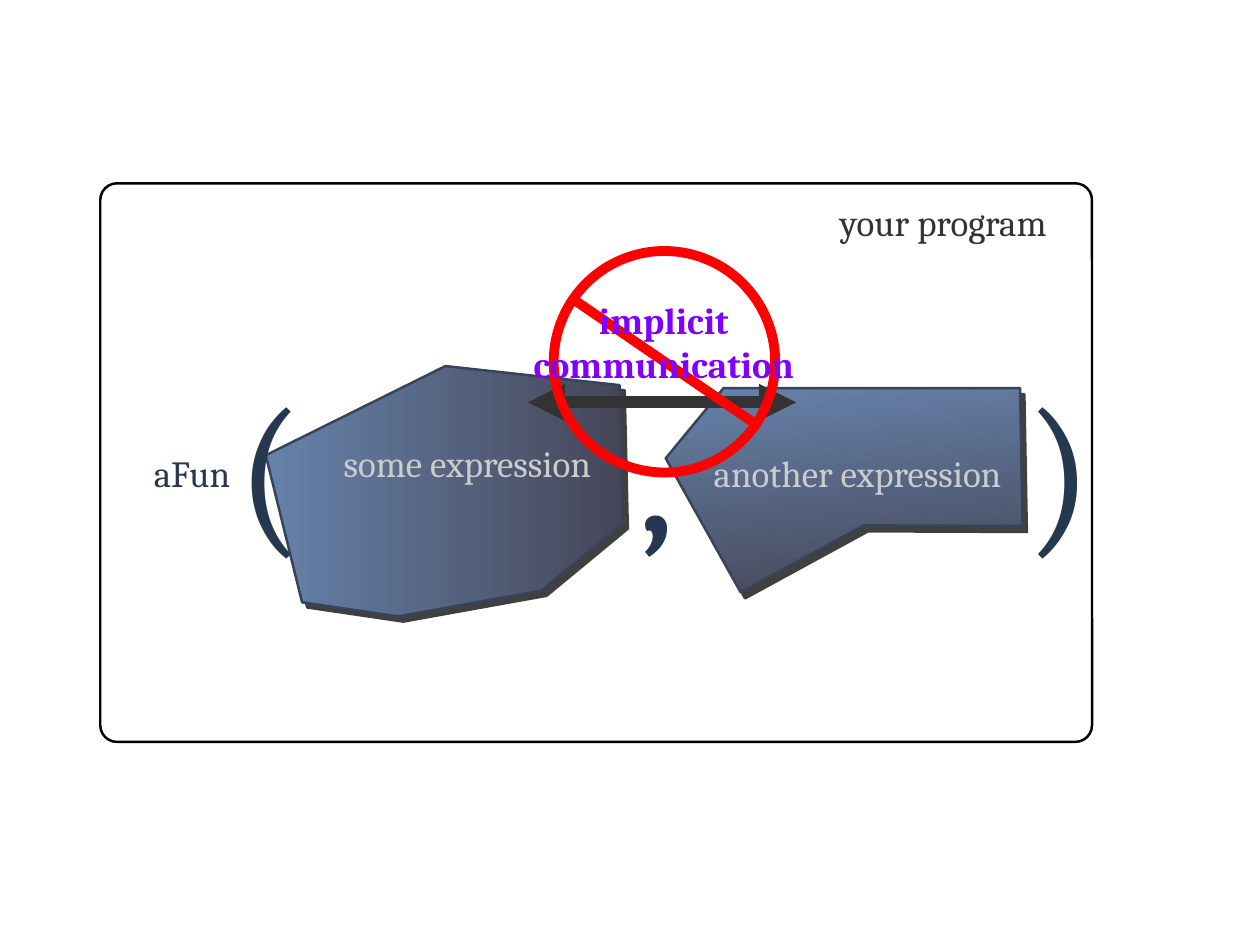
import lxml.etree
import pptx
import pptx.dml.color
import pptx.enum.shapes
import pptx.enum.text
import pptx.oxml.ns
import pptx.util
from dataclasses import dataclass

Pt = pptx.util.Pt
qn = pptx.oxml.ns.qn


@dataclass(frozen=True)
class Theme:
    """Colours, font and type sizes."""
    font: str = "Cambria"
    text_size: int = 30
    symbol_size: int = 144
    code: str = "263750"
    label: str = "CCCCCC"
    dark: str = "333333"
    frame: str = "000000"
    edge: str = "374358"
    emphasis: str = "8000FF"
    stop: str = "FF0000"
    gradient: tuple = ("464658", "6682AA")


def rgb(color):
    return pptx.dml.color.RGBColor.from_string(color)


def set_attrs(obj, values):
    for name, value in values.items():
        setattr(obj, name, value)


class Canvas:
    """Draws on one slide; all lengths are in points."""

    def __init__(self, slide, theme):
        self.s, self.theme = slide, theme

    def stroke(self, sp, color, width):
        sp.line.color.rgb = rgb(color)
        sp.line.width = Pt(width)

    def text(self, cx, cy, w, h, lines, color, size=None, bold=False):
        """Text block centred on (cx, cy)."""
        sp = self.s.shapes.add_textbox(
            Pt(cx - w / 2), Pt(cy - h / 2), Pt(w), Pt(h))
        tf = sp.text_frame
        set_attrs(tf, {
            "margin_left": 0, "margin_right": 0,
            "margin_top": 0, "margin_bottom": 0,
            "word_wrap": False,
            "auto_size": pptx.enum.text.MSO_AUTO_SIZE.SHAPE_TO_FIT_TEXT,
            "vertical_anchor": pptx.enum.text.MSO_ANCHOR.MIDDLE,
        })
        tf.text = "\n".join(lines)
        for p in tf.paragraphs:
            p.alignment = pptx.enum.text.PP_ALIGN.CENTER
            for r in p.runs:
                set_attrs(r.font, {
                    "name": self.theme.font, "bold": bold,
                    "size": Pt(size or self.theme.text_size),
                })
                r.font.color.rgb = rgb(color)

    def polygon(self, points, angle, shadow_angle):
        """Gradient-filled outline with a hard offset shadow."""
        start, *rest = [(Pt(x), Pt(y)) for x, y in points]
        builder = self.s.shapes.build_freeform(*start)
        builder.add_line_segments(rest, close=True)
        sp = builder.convert_to_shape()
        sp.fill.gradient()
        sp.fill.gradient_angle = angle
        for stop, color in zip(sp.fill.gradient_stops, self.theme.gradient):
            stop.color.rgb = rgb(color)
        self.stroke(sp, self.theme.edge, 2)
        sp.shadow.inherit = False
        effects = sp.element.spPr.find(qn("a:effectLst"))
        shadow = lxml.etree.SubElement(
            effects, qn("a:outerShdw"), blurRad="0", dist=str(Pt(6)),
            dir=str(shadow_angle * 60000), algn="ctr", rotWithShape="0")
        color = lxml.etree.SubElement(
            shadow, qn("a:srgbClr"), val=self.theme.frame)
        lxml.etree.SubElement(color, qn("a:alpha"), val="75000")

    def outline(self, kind, x, y, w, h, color, width, adj=None, shapes=None):
        """Unfilled preset shape."""
        sp = (shapes or self.s.shapes).add_shape(
            kind, Pt(x), Pt(y), Pt(w), Pt(h))
        if adj is not None:
            sp.adjustments[0] = adj
        sp.fill.background()
        self.stroke(sp, color, width)
        sp.shadow.inherit = False

    def line(self, x1, y1, x2, y2, color, width, arrows=False, shapes=None):
        """Straight line, optionally with a head at both ends."""
        sp = (shapes or self.s.shapes).add_connector(
            pptx.enum.shapes.MSO_CONNECTOR.STRAIGHT,
            Pt(x1), Pt(y1), Pt(x2), Pt(y2))
        self.stroke(sp, color, width)
        if arrows:
            ln = sp.element.spPr.find(qn("a:ln"))
            for end in ("a:headEnd", "a:tailEnd"):
                lxml.etree.SubElement(ln, qn(end), type="triangle")
        lxml.etree.SubElement(sp.element.spPr, qn("a:effectLst"))

    def prohibition(self, x, y, d, slash, color, width):
        """Circle with a slash, grouped."""
        shapes = self.s.shapes.add_group_shape().shapes
        self.line(*slash, color, width, shapes=shapes)
        self.outline(pptx.enum.shapes.MSO_SHAPE.OVAL, x, y, d, d,
                     color, width, shapes=shapes)


def main():
    prs = pptx.Presentation()
    prs.slide_width, prs.slide_height = Pt(1024), Pt(768)
    theme = Theme()
    c = Canvas(prs.slides.add_slide(prs.slide_layouts[6]), theme)

    # Two argument expressions
    c.polygon([(216, 370), (362, 297.5), (503.5, 313), (506, 425.5),
               (440, 480), (323.5, 501), (245.5, 489.5)], 180, 45)
    c.text(379.8, 376, 220, 36, ["some expression"], theme.label)
    c.polygon([(541, 372.5), (588, 315.5), (829, 315.5), (831, 427.5),
               (702, 427), (602, 481.5)], 96, 54)
    c.text(697, 384, 252, 36, ["another expression"], theme.label)

    # Program label and function call
    c.text(766.5, 180, 186, 36, ["your program"], theme.dark)
    c.text(156, 384, 67, 36, ["aFun"], theme.code)
    for symbol, cx, w in (("(", 216.5, 48), (",", 534, 36), (")", 857.5, 48)):
        c.text(cx, 376, w, 173, [symbol], theme.code, theme.symbol_size)

    # Program frame
    c.outline(pptx.enum.shapes.MSO_SHAPE.ROUNDED_RECTANGLE,
              81.5, 149, 806, 454, theme.frame, 2, adj=0.03)

    # Forbidden communication between the expressions
    c.line(429, 327, 647, 327, theme.dark, 10, arrows=True)
    c.prohibition(450, 204, 180, (467, 244, 616, 346), theme.stop, 8)
    c.text(539.5, 278, 213, 72, ["implicit", "communication"],
           theme.emphasis, bold=True)

    prs.save("out.pptx")


if __name__ == "__main__":
    main()
